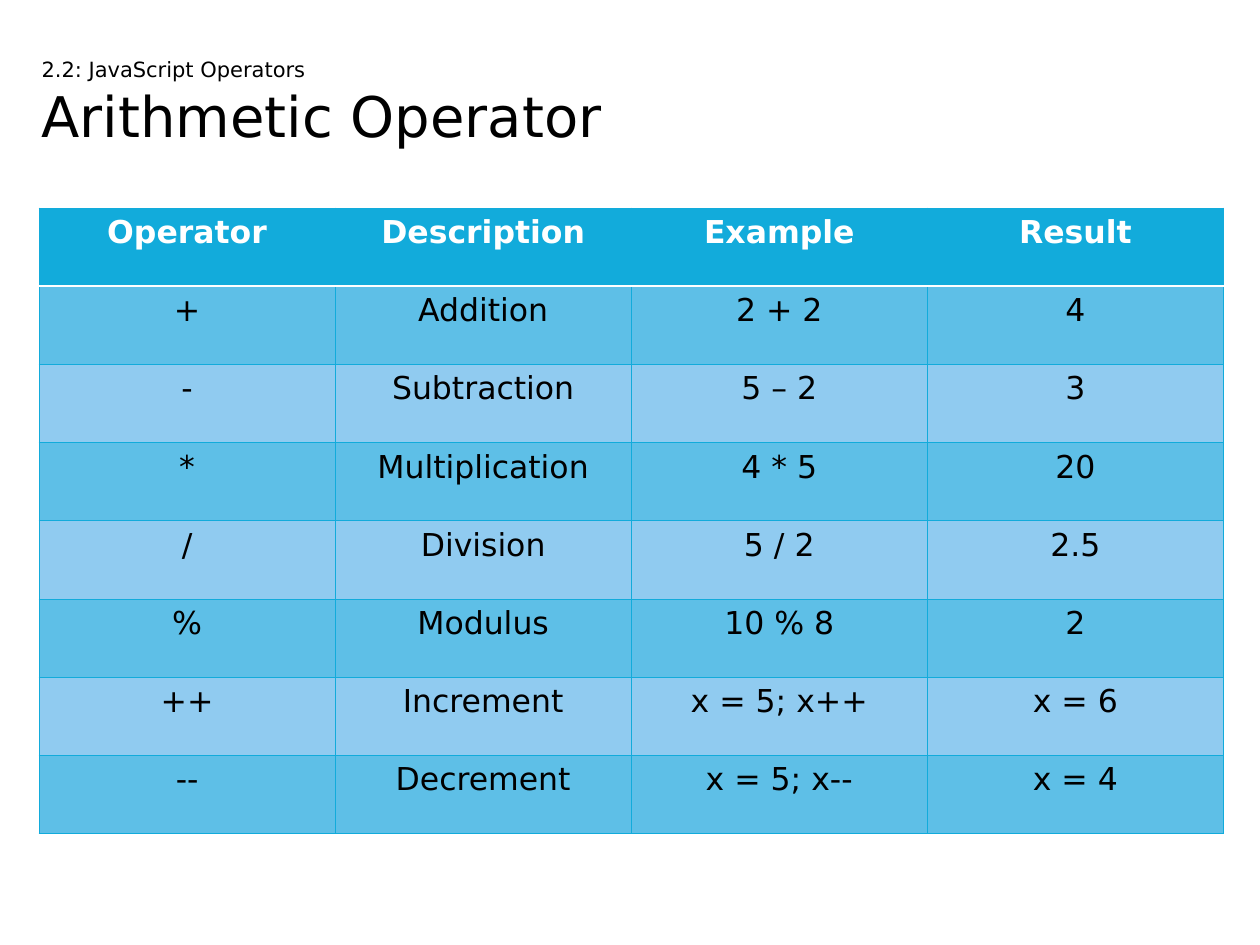
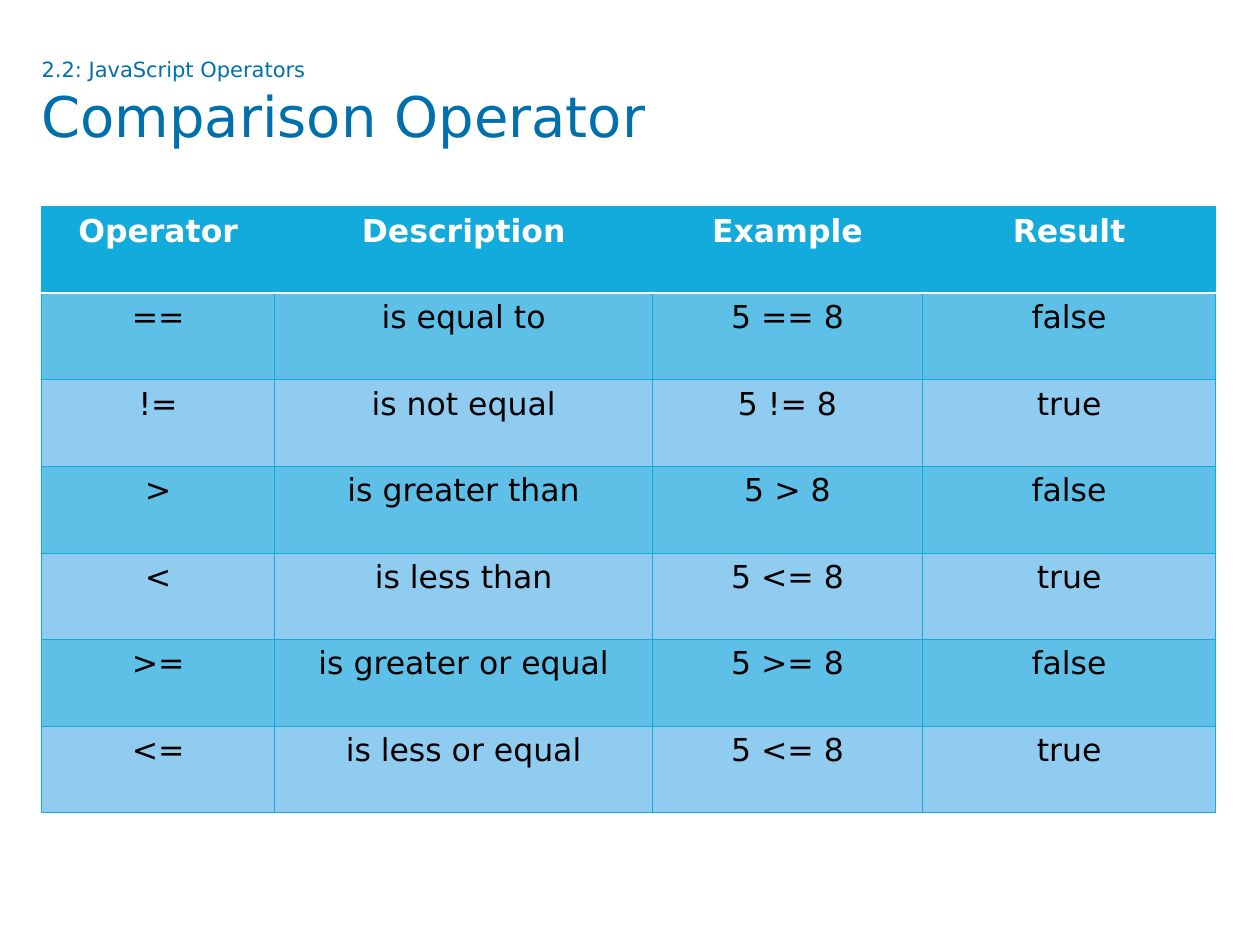
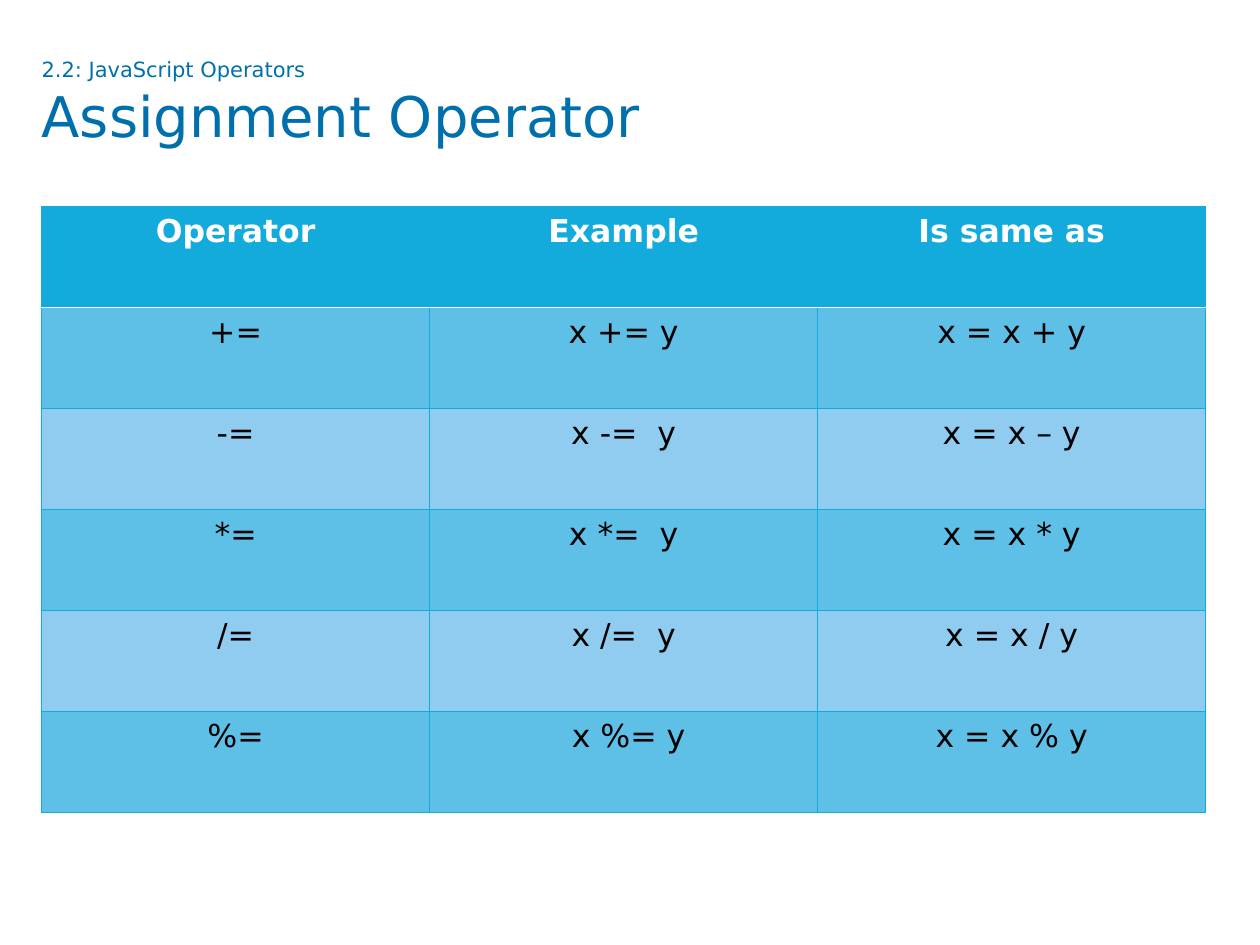
from pptx import Presentation
from pptx.dml.color import RGBColor
from pptx.enum.text import MSO_ANCHOR, MSO_AUTO_SIZE, PP_ALIGN
from pptx.oxml import parse_xml
from pptx.oxml.ns import nsdecls
from pptx.util import Inches, Pt

FONT = "DejaVu Sans"
TOPIC = "2.2: JavaScript Operators"
BLACK = RGBColor(0x00, 0x00, 0x00)
WHITE = RGBColor(0xFF, 0xFF, 0xFF)
NAVY = RGBColor(0x00, 0x70, 0xAD)
CYAN = RGBColor(0x12, 0xAB, 0xDB)
MID = RGBColor(0x5E, 0xBF, 0xE7)
PALE = RGBColor(0x90, 0xCB, 0xF0)

MATH = [
    ("Operator", "Description", "Example", "Result"),
    ("+", "Addition", "2 + 2", "4"),
    ("-", "Subtraction", "5 – 2", "3"),
    ("*", "Multiplication", "4 * 5", "20"),
    ("/", "Division", "5 / 2", "2.5"),
    ("%", "Modulus", "10 % 8", "2"),
    ("++", "Increment", "x = 5; x++", "x = 6"),
    ("--", "Decrement", "x = 5; x--", "x = 4"),
]
COMPARE = [
    ("Operator", "Description", "Example", "Result"),
    ("==", "is equal to", "5 == 8", "false"),
    ("!=", "is not equal", "5 != 8", "true"),
    (">", "is greater than", "5 > 8", "false"),
    ("<", "is less than", "5 <= 8", "true"),
    (">=", "is greater or equal", "5 >= 8", "false"),
    ("<=", "is less or equal", "5 <= 8", "true"),
]
ASSIGN = [
    ("Operator", "Example", "Is same as"),
    ("+=", "x += y", "x = x + y"),
    ("-=", "x -=  y", "x = x – y"),
    ("*=", "x *=  y", "x = x * y"),
    ("/=", "x /=  y", "x = x / y"),
    ("%=", " x %= y", "x = x % y"),
]


def add_slide(deck, name, color):
    """Add a slide whose title has the topic in small type above the name."""
    slide = deck.slides.add_slide(deck.slide_layouts[5])
    title = slide.shapes.title
    title.left, title.top = Inches(0.33), Inches(0.45)
    title.width, title.height = Inches(9.33), Inches(0.94)
    frame = title.text_frame
    frame.margin_left = frame.margin_right = 0
    frame.margin_top = frame.margin_bottom = 0
    frame.vertical_anchor = MSO_ANCHOR.TOP
    frame.auto_size = MSO_AUTO_SIZE.NONE
    frame.word_wrap = True
    para = frame.paragraphs[0]
    para.alignment = PP_ALIGN.LEFT
    para.font.name = FONT
    para.font.color.rgb = color
    head = para.add_run()
    head.text = TOPIC
    head.font.size = Pt(12)
    para.add_line_break()
    main_run = para.add_run()
    main_run.text = name
    main_run.font.size = Pt(32)
    for run in para.runs:
        run.font.name = FONT
        run.font.color.rgb = color
    return slide


def set_edge(cell, side, color, width):
    cell._tc.get_or_add_tcPr().append(parse_xml(
        f'<a:ln{side} {nsdecls("a")} w="{Pt(width)}"><a:solidFill>'
        f'<a:srgbClr val="{color}"/></a:solidFill></a:ln{side}>'))


def format_cell(cell, text, row):
    """Fill in a cell; row 0 is the header, and the others alternate."""
    for side in "LRTB":
        rule = (row, side) in ((0, "B"), (1, "T"))
        set_edge(cell, side, WHITE if rule else CYAN, 1 if rule else 0.5)
    cell.fill.solid()
    cell.fill.fore_color.rgb = CYAN if row == 0 else MID if row % 2 else PALE
    cell.text = text
    para = cell.text_frame.paragraphs[0]
    para.alignment = PP_ALIGN.CENTER
    para.font.name = FONT
    para.font.size = Pt(18)
    para.font.bold = row == 0
    para.font.color.rgb = BLACK if row else WHITE


def add_grid(slide, data, left, top, widths, height):
    """Add a table with rows of equal height."""
    table = slide.shapes.add_table(
        len(data), len(widths), Inches(left), Inches(top),
        Inches(sum(widths)), Inches(height)).table
    for col, width in zip(table.columns, widths):
        col.width = Inches(width)
    for r, line in enumerate(data):
        for c, text in enumerate(line):
            format_cell(table.cell(r, c), text, r)


def main():
    deck = Presentation()
    deck.slide_width, deck.slide_height = Inches(10), Inches(7.5)

    slide = add_slide(deck, "Arithmetic Operator", BLACK)
    add_grid(slide, MATH, 0.31, 1.65, [2.35] * 4, 4.97)

    slide = add_slide(deck, "Comparison Operator", NAVY)
    add_grid(slide, COMPARE, 0.33, 1.64, [1.85, 3, 2.14, 2.33], 4.81)

    slide = add_slide(deck, "Assignment Operator", NAVY)
    add_grid(slide, ASSIGN, 0.33, 1.64, [3.08] * 3, 4.81)

    deck.save("out.pptx")


if __name__ == "__main__":
    main()
